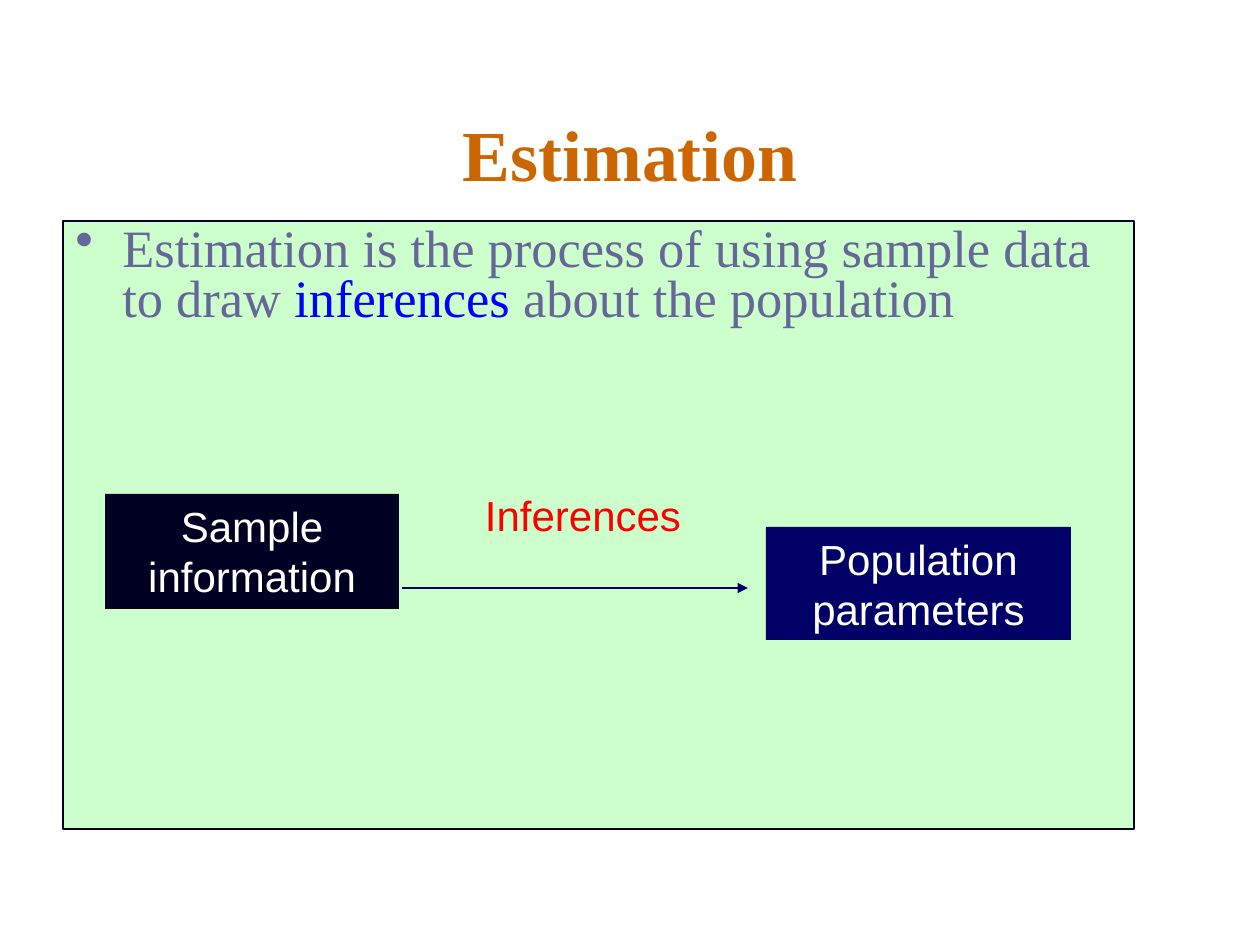
from lxml.etree import SubElement
from pptx import Presentation
from pptx.dml.color import RGBColor
from pptx.enum.shapes import MSO_CONNECTOR, MSO_SHAPE
from pptx.enum.text import MSO_ANCHOR, PP_ALIGN
from pptx.oxml.ns import qn
from pptx.util import Emu, Pt

PX = 914400 / 126

ORANGE = RGBColor(0xCC, 0x66, 0x00)
MINT = RGBColor(0xCC, 0xFF, 0xCC)
INK = RGBColor(0x00, 0x00, 0x22)
NAVY = RGBColor(0x00, 0x00, 0x66)
SLATE = RGBColor(0x66, 0x66, 0x99)
BLUE = RGBColor(0x00, 0x00, 0xFF)
RED = RGBColor(0xFF, 0x00, 0x00)
WHITE = RGBColor(0xFF, 0xFF, 0xFF)

SERIF, SANS = "Times New Roman", "Arial"


def px(*lengths):
    return [Emu(round(n * PX)) for n in lengths]


def add_text(p, text, font=SANS, size=24, color=WHITE, bold=False, align=PP_ALIGN.CENTER):
    p.alignment = align
    r = p.add_run()
    r.text = text
    r.font.name, r.font.size, r.font.bold = font, Pt(size), bold
    r.font.color.rgb = color


class SlideBuilder:
    def __init__(self, prs):
        self.s = prs.slides.add_slide(prs.slide_layouts[5])

    def title(self, text, box):
        sp = self.s.shapes.title
        sp.left, sp.top, sp.width, sp.height = px(*box)
        sp.text_frame.vertical_anchor = MSO_ANCHOR.MIDDLE
        add_text(sp.text_frame.paragraphs[0], text, font=SERIF, size=41,
                 color=ORANGE, bold=True)

    def rect(self, box, fill, line=None, anchor=MSO_ANCHOR.TOP):
        sp = self.s.shapes.add_shape(MSO_SHAPE.RECTANGLE, *px(*box))
        sp.shadow.inherit = False
        sp.fill.solid()
        sp.fill.fore_color.rgb = fill
        if line is None:
            sp.line.fill.background()
        else:
            sp.line.color.rgb = line
            sp.line.width = Pt(0.75)
        sp.text_frame.word_wrap = True
        sp.text_frame.vertical_anchor = anchor
        return sp.text_frame.paragraphs[0]

    def bullet_panel(self, box, parts):
        p = self.rect(box, MINT, line=INK)
        pPr = p._p.get_or_add_pPr()
        indent = px(47)[0]
        pPr.set("marL", str(indent))
        pPr.set("indent", str(-indent))
        SubElement(pPr, qn("a:buChar"), char="•")
        p.line_spacing = 0.8
        for text, color in parts:
            add_text(p, text, font=SERIF, size=30, color=color, align=PP_ALIGN.LEFT)

    def node(self, text, box, fill):
        add_text(self.rect(box, fill), text)

    def label(self, text, box, color):
        tf = self.s.shapes.add_textbox(*px(*box)).text_frame
        tf.word_wrap = True
        add_text(tf.paragraphs[0], text, color=color)

    def arrow(self, x1, y1, x2, y2, color):
        c = self.s.shapes.add_connector(MSO_CONNECTOR.STRAIGHT, *px(x1, y1, x2, y2))
        c.line.color.rgb = color
        c.line.width = Pt(0.75)
        SubElement(c.line._get_or_add_ln(), qn("a:tailEnd"), type="triangle")
        SubElement(c._element.spPr, qn("a:effectLst"))


def main():
    prs = Presentation()
    prs.slide_width, prs.slide_height = px(1260, 945)
    slide = SlideBuilder(prs)

    # Title and definition
    slide.title("Estimation", (53, 95, 1155, 116))
    slide.bullet_panel((63, 221, 1071, 608), [
        ("Estimation is the process of using sample data to draw ", SLATE),
        ("inferences", BLUE),
        (" about the population", SLATE),
    ])

    # From sample to population
    slide.node("Sample information", (105, 494, 294, 115), INK)
    slide.node("Population parameters", (766, 527, 305, 113), NAVY)
    slide.arrow(402, 588, 748, 588, NAVY)
    slide.label("Inferences", (441, 483, 284, 63), RED)

    prs.save("out.pptx")


if __name__ == "__main__":
    main()
